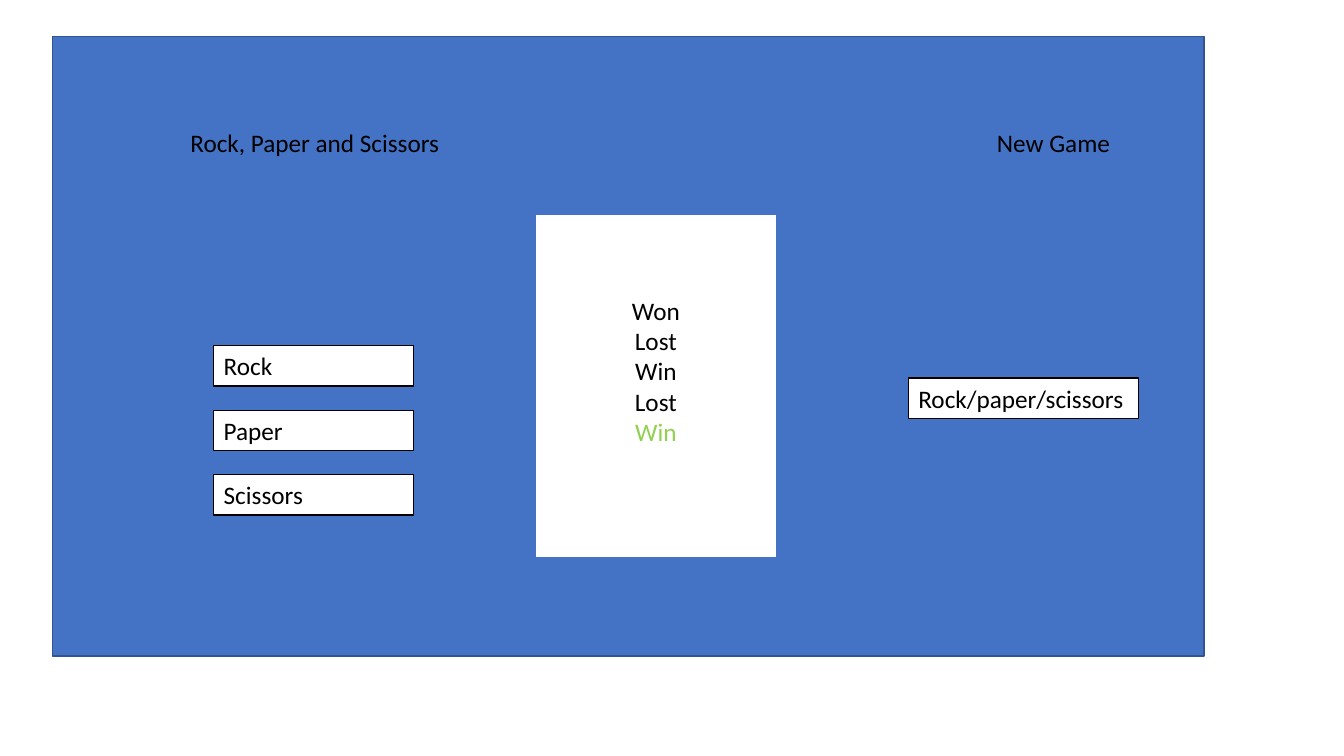
from lxml import etree
from pptx import Presentation
from pptx.dml.color import RGBColor
from pptx.enum.shapes import MSO_SHAPE
from pptx.enum.text import MSO_ANCHOR, MSO_AUTO_SIZE, PP_ALIGN
from pptx.oxml.ns import qn
from pptx.util import Inches, Pt

RECTANGLE = MSO_SHAPE.RECTANGLE
TOP, MIDDLE = MSO_ANCHOR.TOP, MSO_ANCHOR.MIDDLE
LEFT, CENTER = PP_ALIGN.LEFT, PP_ALIGN.CENTER
FIT_SHAPE = MSO_AUTO_SIZE.SHAPE_TO_FIT_TEXT

BLUE, DARK_BLUE = "4472C4", "325491"
WHITE, BLACK, GREEN = "FFFFFF", "000000", "92D050"


def color(value):
    return RGBColor.from_string(value)


class GameSlide:
    font_name = "Calibri"
    font_size = Pt(18)
    line_width = Pt(1)
    row_height = 0.4

    def __init__(self, deck):
        self.slide = deck.slides.add_slide(deck.slide_layouts[6])

    def rectangle(self, left, top, width, height, fill, line):
        box = self.slide.shapes.add_shape(
            RECTANGLE, Inches(left), Inches(top), Inches(width), Inches(height))
        box.shadow.inherit = False
        box.fill.solid()
        box.fill.fore_color.rgb = color(fill)
        box.line.color.rgb = color(line)
        box.line.width = self.line_width
        return box

    def set_text(self, box, text, align=LEFT, anchor=TOP):
        frame = box.text_frame
        frame.word_wrap = True
        frame.vertical_anchor = anchor
        frame.text = text
        for para in frame.paragraphs:
            para.alignment = align
            for span in para.runs:
                span.font.name = self.font_name
                span.font.size = self.font_size
                span.font.color.rgb = color(BLACK)
        return frame

    def button(self, left, top, width, label):
        box = self.rectangle(left, top, width, self.row_height, WHITE, BLACK)
        self.set_text(box, label).auto_size = FIT_SHAPE

    def score_panel(self, left, top, width, height, results):
        """List the results in a panel, the latest one in green."""
        box = self.rectangle(left, top, width, height, WHITE, BLUE)
        frame = self.set_text(box, "\n".join(results), CENTER, MIDDLE)
        frame.margin_bottom = Inches(0.35)
        frame.paragraphs[-1].runs[0].font.color.rgb = color(GREEN)

    def header(self, left, top, width, title, action, tab):
        """Set a title and an action on one line, parted by a tab stop."""
        box = self.slide.shapes.add_textbox(
            Inches(left), Inches(top), Inches(width), Inches(self.row_height))
        frame = self.set_text(box, f"{title}\t{action}")
        frame.auto_size = FIT_SHAPE
        properties = frame.paragraphs[0]._p.get_or_add_pPr()
        tabs = etree.SubElement(properties, qn("a:tabLst"))
        etree.SubElement(tabs, qn("a:tab"), pos=str(Inches(tab)), algn="l")


def main():
    deck = Presentation()
    deck.slide_width, deck.slide_height = Inches(13.33), Inches(7.5)
    game = GameSlide(deck)

    game.rectangle(0.52, 0.36, 11.42, 6.15, BLUE, DARK_BLUE)
    for row, choice in enumerate(["Rock", "Paper", "Scissors"]):
        game.button(2.12, 3.43 + row * 0.64, 1.98, choice)
    game.button(9.01, 3.75, 2.28, "Rock/paper/scissors")
    game.score_panel(5.31, 2.13, 2.39, 3.4, ["Won", "Lost", "Win", "Lost", "Win"])
    game.header(1.79, 1.21, 9.43, "Rock, Paper and Scissors", "New Game", tab=8)

    deck.save("out.pptx")


if __name__ == "__main__":
    main()
